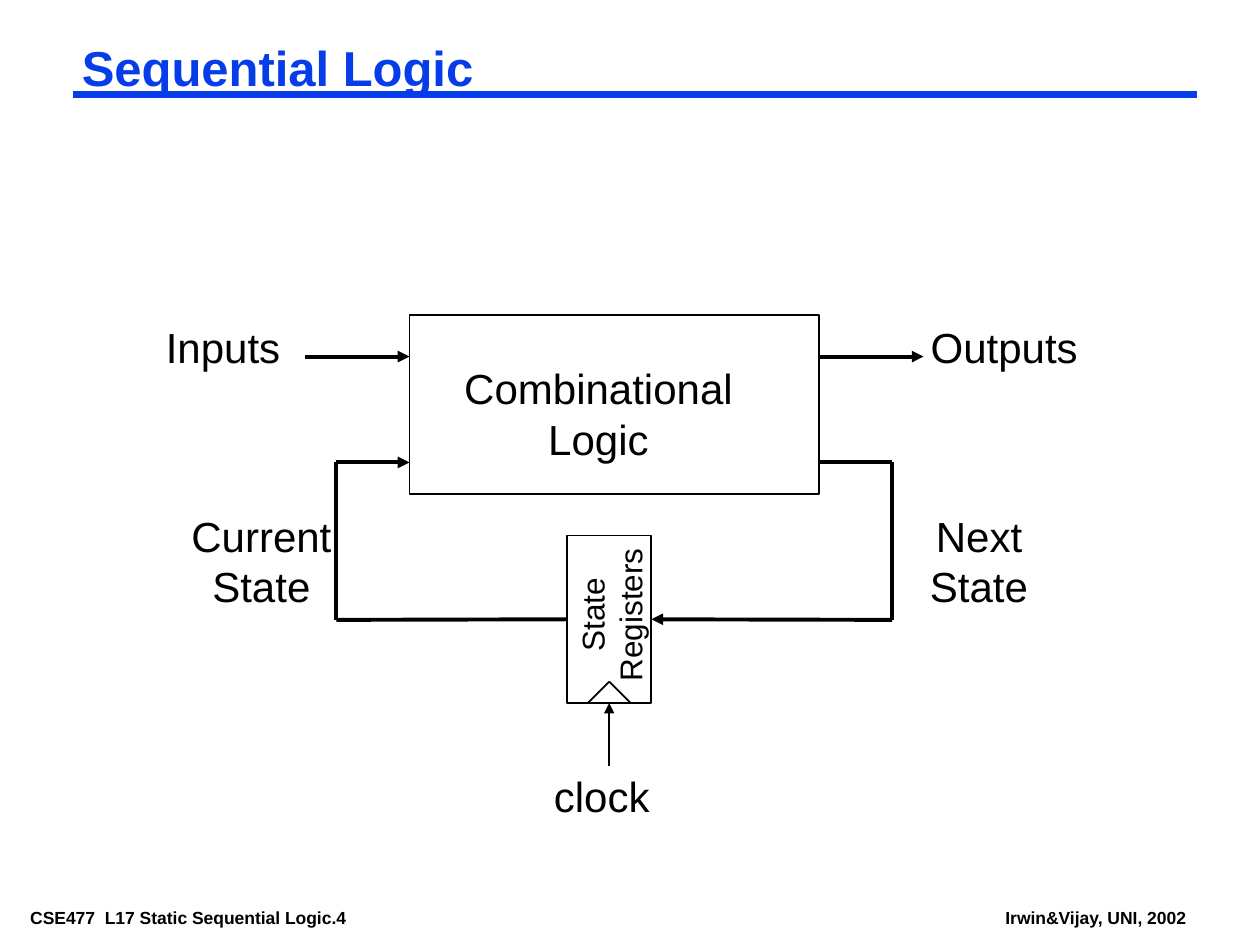
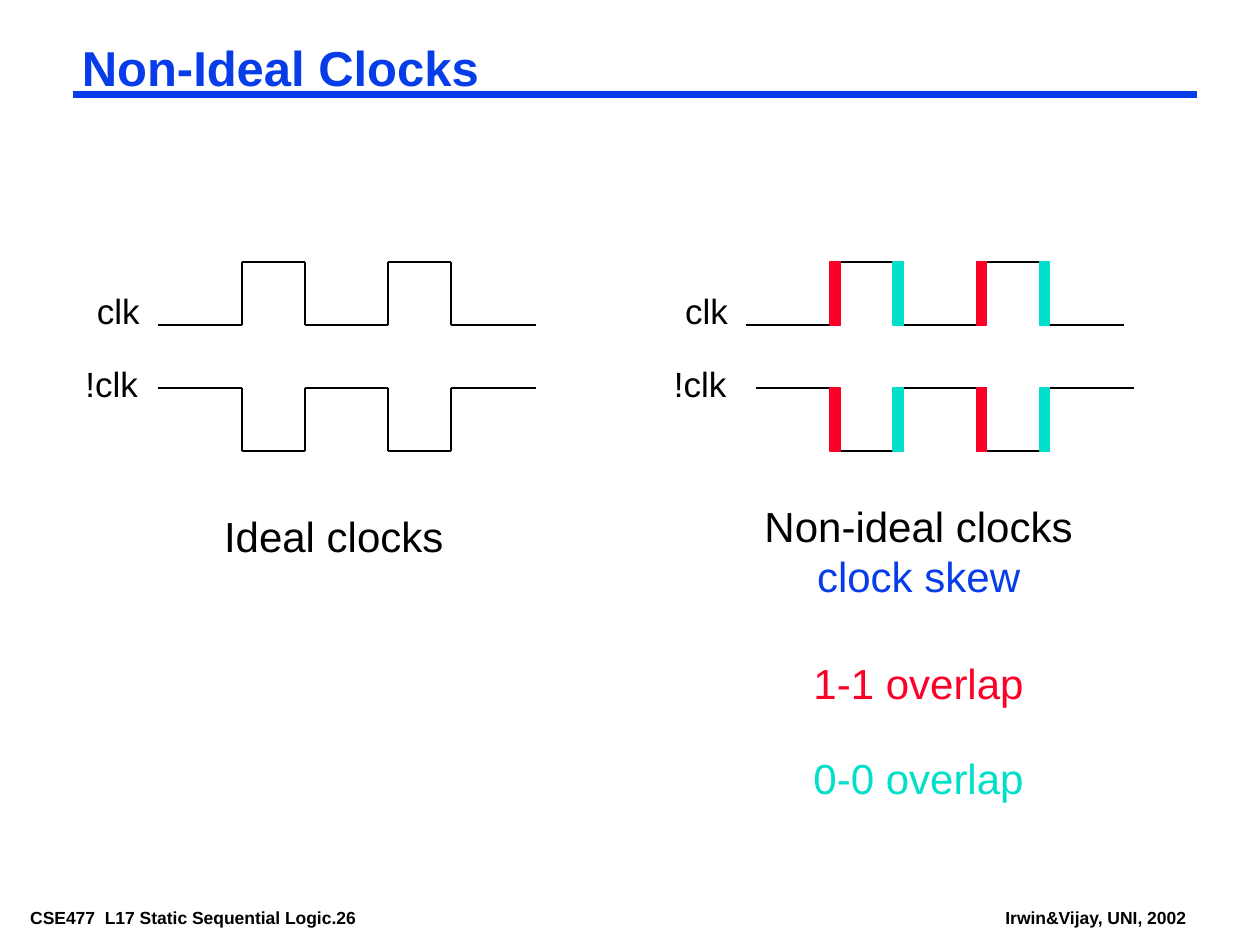
from lxml import etree
from pptx import Presentation
from pptx.dml.color import RGBColor
from pptx.enum import shapes, text
from pptx.oxml import ns
from pptx.util import Inches, Pt

FONT = "Arial"
BLACK = RGBColor(0x00, 0x00, 0x00)
BLUE = RGBColor(0x06, 0x3D, 0xE8)
RED = RGBColor(0xFC, 0x01, 0x28)
TEAL = RGBColor(0x00, 0xDF, 0xCA)

LEFT, CENTER = text.PP_ALIGN.LEFT, text.PP_ALIGN.CENTER
TOP_SIDE, LEFT_SIDE, BOTTOM_SIDE, RIGHT_SIDE = range(4)

THIN, THICK = 1, 2.25
EDGES = (0, 0.67, 1.17, 1.83, 2.33, 3)  # where the clock levels begin and end
SWING = 0.5
SKEW = 0.08


def format_text(frame, size, colors, bold=False, align=LEFT, wrap=False, insets=(0.1, 0.05)):
    """Format every paragraph; the last colour serves all remaining ones."""
    frame.auto_size = text.MSO_AUTO_SIZE.SHAPE_TO_FIT_TEXT
    frame.word_wrap = wrap
    frame.vertical_anchor = text.MSO_ANCHOR.TOP
    frame.margin_left = frame.margin_right = Inches(insets[0])
    frame.margin_top = frame.margin_bottom = Inches(insets[1])
    for index, paragraph in enumerate(frame.paragraphs):
        paragraph.alignment = align
        for run in paragraph.runs:
            run.font.name = FONT
            run.font.size = Pt(size)
            run.font.bold = bold
            run.font.color.rgb = colors[min(index, len(colors) - 1)]


def add_label(slide, words, left, top, width, height, size=24, colors=(BLACK,), **options):
    label = slide.shapes.add_textbox(Inches(left), Inches(top), Inches(width), Inches(height))
    label.text_frame.text = words
    format_text(label.text_frame, size, colors, **options)
    return label


def add_box(slide, left, top, width, height, color=BLACK, filled=False):
    box = slide.shapes.add_shape(shapes.MSO_SHAPE.RECTANGLE, Inches(left), Inches(top),
                                 Inches(width), Inches(height))
    box.shadow.inherit = False
    box.line.color.rgb = color
    box.line.width = Pt(THIN)
    if filled:
        box.fill.solid()
        box.fill.fore_color.rgb = color
    else:
        box.fill.background()
    return box


def add_line(slide, start, end, width=THIN, color=BLACK, arrow=False):
    line = slide.shapes.add_connector(shapes.MSO_CONNECTOR.STRAIGHT,
                                      *(Inches(value) for value in (*start, *end)))
    line.line.color.rgb = color
    line.line.width = Pt(width)
    properties = line.element.spPr
    if arrow:
        outline = properties.find(ns.qn("a:ln"))
        etree.SubElement(outline, ns.qn("a:tailEnd"), type="triangle")
    etree.SubElement(properties, ns.qn("a:effectLst"))
    return line


def add_titled_slide(prs, heading, number):
    """Add a slide with the shared title, rule and footers."""
    slide = prs.slides.add_slide(prs.slide_layouts[5])
    title = slide.shapes.title
    title.left, title.top = Inches(0.58), Inches(0.33)
    title.width, title.height = Inches(8.92), Inches(0.46)
    title.text_frame.text = heading
    title.text_frame.paragraphs[0].line_spacing = 0.87
    insets = (0.07, 0.03)
    format_text(title.text_frame, 28, (BLUE,), bold=True, wrap=True, insets=insets)
    add_line(slide, (0.58, 0.75), (9.5, 0.75), 4.5, BLUE)
    footers = ((f"CSE477  L17 Static Sequential Logic.{number}", 0.17, 3.24),
               ("Irwin&Vijay, UNI, 2002", 7.91, 1.63))
    for words, left, width in footers:
        add_label(slide, words, left, 7.17, width, 0.22, size=10, bold=True, insets=insets)
    return slide


def add_combinational_logic(slide, left, top, width, height):
    add_box(slide, left, top, width, height)
    add_label(slide, "Combinational\nLogic", left + 0.33, top + 0.33, 2.34, 0.9, align=CENTER)
    right, signal = left + width, top + 0.33
    add_line(slide, (left - 0.83, signal), (left, signal), THICK, arrow=True)
    add_line(slide, (right, signal), (right + 0.83, signal), THICK, arrow=True)
    add_label(slide, "Inputs", left - 2.04, top, 1.12, 0.5, align=CENTER)
    add_label(slide, "Outputs", right + 0.77, top, 1.4, 0.5, align=CENTER)


def add_state_registers(slide, left, top, width, height):
    """Draw the clocked register and return its box."""
    registers = add_box(slide, left, top, width, height)
    middle, bottom = left + width / 2, top + height
    names = add_label(slide, "State\nRegisters", left - 0.3, top + 0.28, 1.3, 0.7,
                      size=18, align=CENTER)
    names.rotation = 270
    for side in (-1, 1):
        add_line(slide, (middle, bottom - 0.17), (middle + side * 0.17, bottom))
    clock = add_line(slide, (middle, bottom + 0.5), (middle, bottom), arrow=True)
    clock.end_connect(registers, BOTTOM_SIDE)
    add_label(slide, "clock", middle - 0.55, bottom + 0.49, 0.98, 0.5, align=CENTER)
    return registers


def add_feedback(slide, registers, left, top, width, height):
    """Route the next state into the registers and the current state back."""
    logic_left, logic_right = left + 0.58, left + width - 0.58
    right, bottom = left + width, top + height
    register_left = registers.left.inches
    register_right = register_left + registers.width.inches
    add_line(slide, (logic_right, top), (right, top), THICK)
    add_line(slide, (right, top), (right, bottom), THICK)
    next_state = add_line(slide, (right, bottom), (register_right, bottom), THICK, arrow=True)
    next_state.end_connect(registers, RIGHT_SIDE)
    current_state = add_line(slide, (left, bottom), (register_left, bottom), THICK)
    current_state.end_connect(registers, LEFT_SIDE)
    add_line(slide, (left, bottom), (left, top), THICK)
    add_line(slide, (left, top), (logic_left, top), THICK, arrow=True)
    add_label(slide, "Next\nState", right + 0.19, top + 0.33, 1, 0.9, align=CENTER)
    add_label(slide, "Current\nState", left - 1.26, top + 0.33, 1.33, 0.9, align=CENTER)


def build_sequential_logic(prs):
    slide = add_titled_slide(prs, "Sequential Logic", 4)
    add_combinational_logic(slide, 3.25, 2.5, 3.25, 1.42)
    registers = add_state_registers(slide, 4.5, 4.25, 0.67, 1.33)
    add_feedback(slide, registers, 2.67, 3.67, 4.41, 1.25)


def add_waveform(slide, left, top, starts_high):
    """Draw alternating levels joined by vertical edges."""
    levels = [top, top + SWING] if starts_high else [top + SWING, top]
    for index, (start, end) in enumerate(zip(EDGES, EDGES[1:])):
        level = levels[index % 2]
        add_line(slide, (left + start, level), (left + end, level))
        if index:
            add_line(slide, (left + start, top), (left + start, top + SWING))


def add_clock_pair(slide, left, top, skew=0):
    """Draw clk above !clk, the latter delayed by skew."""
    add_label(slide, "clk", left - 0.58, top + 0.17, 0.54, 0.44, size=20)
    add_label(slide, "!clk", left - 0.67, top + 0.75, 0.68, 0.44, size=20)
    add_waveform(slide, left, top, starts_high=False)
    add_waveform(slide, left + skew, top + 1, starts_high=True)


def add_overlaps(slide, left, top):
    """Mark the time between each clk edge and the late !clk edge."""
    for index, edge in enumerate(EDGES[1:-1]):
        for row in (0, 1):
            add_box(slide, left + edge, top + row, SKEW, SWING, (RED, TEAL)[index % 2], filled=True)


def build_non_ideal_clocks(prs):
    slide = add_titled_slide(prs, "Non-Ideal Clocks", 26)
    add_clock_pair(slide, 1.25, 2.08)
    add_label(slide, "Ideal clocks", 1.68, 4, 2.07, 0.5, wrap=True)
    add_clock_pair(slide, 5.92, 2.08, SKEW)
    add_overlaps(slide, 5.92, 2.08)
    add_label(slide, "Non-ideal clocks\nclock skew", 5.83, 3.92, 2.92, 0.9,
              colors=(BLACK, BLUE), align=CENTER, wrap=True)
    for words, top, color in (("1-1 overlap", 5.17, RED), ("0-0 overlap", 5.92, TEAL)):
        add_label(slide, words, 6, top, 2.58, 0.5, colors=(color,), align=CENTER, wrap=True)


def main():
    prs = Presentation()
    prs.slide_width, prs.slide_height = Inches(10), Inches(7.5)
    build_sequential_logic(prs)
    build_non_ideal_clocks(prs)
    prs.save("out.pptx")


if __name__ == "__main__":
    main()
